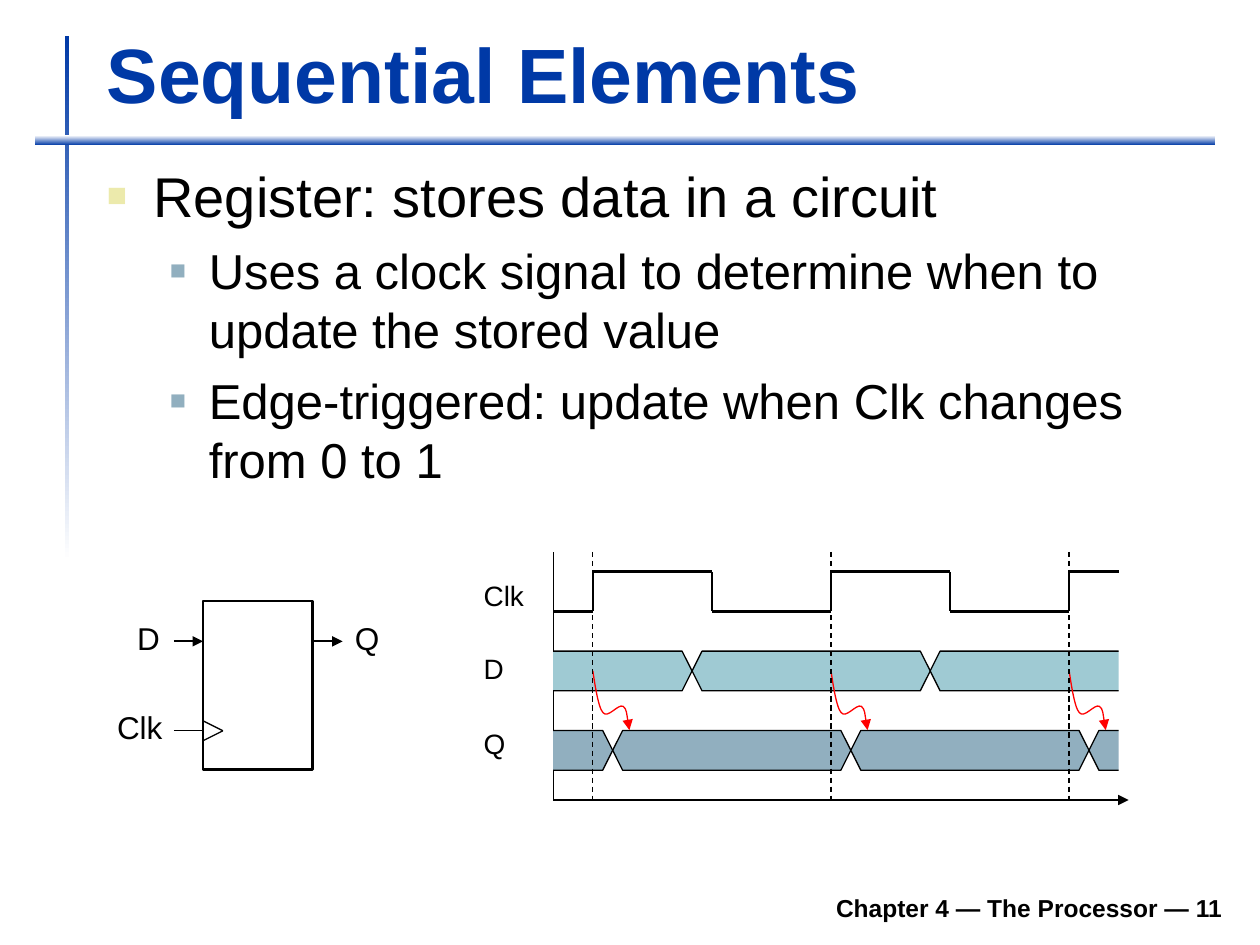
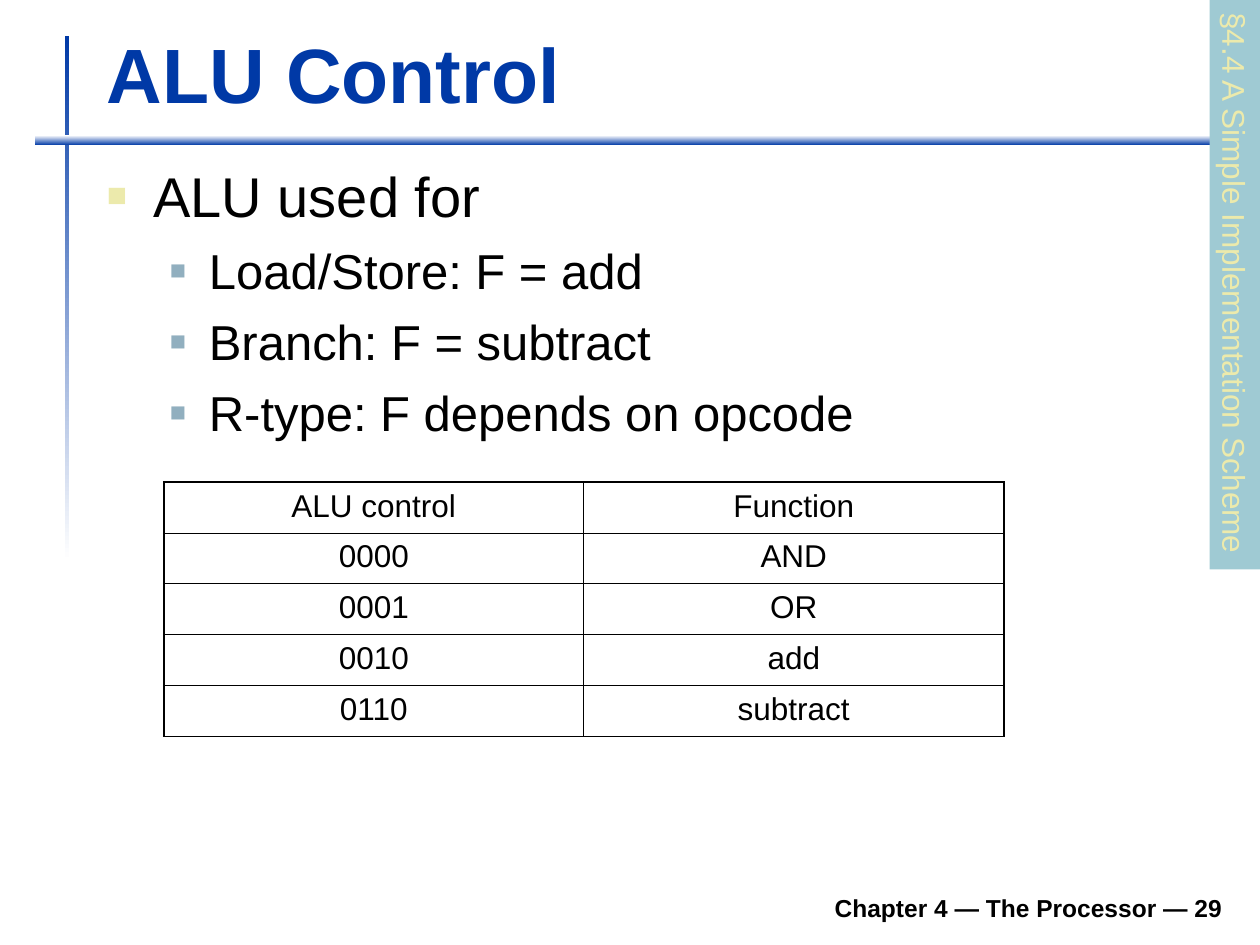
"""Build two processor lecture slides: sequential elements and ALU control."""
import dataclasses
import itertools

import lxml.etree
import pptx
import pptx.dml.color
import pptx.enum.dml
import pptx.enum.shapes
import pptx.enum.text
import pptx.oxml.ns
import pptx.util

Pt = pptx.util.Pt
RGB = pptx.dml.color.RGBColor.from_string
ALIGN = pptx.enum.text.PP_ALIGN
ANCHOR = pptx.enum.text.MSO_ANCHOR
RECTANGLE = pptx.enum.shapes.MSO_SHAPE.RECTANGLE


@dataclasses.dataclass(frozen=True)
class Theme:
    """Hold the colours, font and type sizes of the slides."""
    font: str = "Arial"
    blue: str = "0039A6"
    white: str = "FFFFFF"
    black: str = "000000"
    red: str = "FF0000"
    cream: str = "ECEAAC"
    teal: str = "9FCAD3"
    slate: str = "91AFBF"
    title_size: int = 44
    body_size: int = 32
    sub_size: int = 28
    label_size: int = 18
    signal_size: int = 16
    footer_size: int = 14
    thin: float = 0.75
    thick: float = 1.5


THEME = Theme()
BULLETS = (
    dict(size=THEME.body_size, color=THEME.cream, percent=60, left=26.6, hang=26.6, before=8),
    dict(size=THEME.sub_size, color=THEME.slate, percent=55, left=58.3, hang=22.3, before=7),
)
GRID_LEFT, GRID_TOP, GRID_UNIT = 316.1, 315.4, 5.67
GRID_END, GRID_BASE = 57, 25
PERIOD = 24
RISING_EDGES = (4, 28, 52)
CLOCK_HIGH, CLOCK_LOW = 2, 6
ARROW_CURVE = ((0.7, 4.3), (2.9, 20.9), (5.8, 23.8), (8.6, 27.4), (14.4, 18.7),
               (17.3, 20.2), (19.4, 21.6), (20.2, 31), (20.9, 33.8))


def add_xml(parent, tag, **attributes):
    """Append a drawing element with the given attributes."""
    return lxml.etree.SubElement(parent, pptx.oxml.ns.qn(tag), attributes)


def style_font(paragraph, size, color=THEME.black, bold=False):
    """Set the font of a whole paragraph."""
    paragraph.font.name = THEME.font
    paragraph.font.size = Pt(size)
    paragraph.font.bold = bold
    paragraph.font.color.rgb = RGB(color)


def add_text(slide, text, box, size, color=THEME.black, bold=False,
             align=ALIGN.LEFT, anchor=ANCHOR.TOP, wrap=True):
    """Add a text box with one paragraph."""
    shape = slide.shapes.add_textbox(*map(Pt, box))
    shape.text_frame.word_wrap = wrap
    shape.text_frame.vertical_anchor = anchor
    paragraph = shape.text_frame.paragraphs[0]
    paragraph.text = text
    paragraph.alignment = align
    style_font(paragraph, size, color, bold)


def add_box(slide, box):
    """Add an empty rectangle with neither fill, line nor shadow."""
    shape = slide.shapes.add_shape(RECTANGLE, *map(Pt, box))
    shape.shadow.inherit = False
    shape.fill.background()
    shape.line.fill.background()
    return shape


def add_gradient_bar(slide, box, angle):
    """Add a bar that fades from blue to white."""
    fill = add_box(slide, box).fill
    fill.gradient()
    fill.gradient_angle = angle
    for stop, color in zip(fill.gradient_stops, (THEME.blue, THEME.white)):
        stop.color.rgb = RGB(color)


def style_line(line, color, width, arrow=False):
    """Set colour, width and an optional arrowhead of a line."""
    line.color.rgb = RGB(color)
    line.width = Pt(width)
    if arrow:
        add_xml(line._get_or_add_ln(), "a:tailEnd", type="triangle")


def add_line(slide, start, end, width=THEME.thin, arrow=False, dashed=False):
    """Add a straight black line."""
    connector = slide.shapes.add_connector(
        pptx.enum.shapes.MSO_CONNECTOR.STRAIGHT, *map(Pt, (*start, *end)))
    if dashed:
        connector.line.dash_style = pptx.enum.dml.MSO_LINE.DASH
    style_line(connector.line, THEME.black, width, arrow)
    add_xml(connector._element.spPr, "a:effectLst")


def add_outline(slide, points, close):
    """Add a freeform through the given points."""
    start, *others = [tuple(map(Pt, point)) for point in points]
    builder = slide.shapes.build_freeform(*start)
    builder.add_line_segments(others, close=close)
    shape = builder.convert_to_shape()
    shape.shadow.inherit = False
    return shape


def add_curved_arrow(slide, start):
    """Add a red wavy arrow made of cubic curves."""
    x, y = start
    shape = add_outline(slide, [start] + [(x + dx, y + dy) for dx, dy in ARROW_CURVE], False)
    shape.fill.background()
    style_line(shape.line, THEME.red, THEME.thin, arrow=True)
    segments = list(shape._element.iter(pptx.oxml.ns.qn("a:lnTo")))
    outline = segments[0].getparent()
    for first in range(0, len(segments), 3):
        curve = add_xml(outline, "a:cubicBezTo")
        for segment in segments[first:first + 3]:
            curve.append(segment[0])
            outline.remove(segment)


def grid(column, row):
    """Return the position of a timing grid point."""
    return GRID_LEFT + column * GRID_UNIT, GRID_TOP + row * GRID_UNIT


def add_signal_band(slide, crossings, top, color):
    """Add a data band that changes value at each crossing."""
    middle, bottom = top + 2, top + 4
    for left, right in itertools.pairwise((None, *crossings, None)):
        if left is None:
            points = [(0, top), (right - 1, top), (right, middle),
                      (right - 1, bottom), (0, bottom)]
        elif right is None:
            points = [(GRID_END, top), (left + 1, top), (left, middle),
                      (left + 1, bottom), (GRID_END, bottom)]
        else:
            points = [(left, middle), (left + 1, top), (right - 1, top),
                      (right, middle), (right - 1, bottom), (left + 1, bottom)]
        closed = left is not None and right is not None
        shape = add_outline(slide, [grid(*point) for point in points], closed)
        shape.fill.solid()
        shape.fill.fore_color.rgb = RGB(color)
        style_line(shape.line, THEME.black, THEME.thin)


def add_clock(slide):
    """Add the square wave of the clock signal."""
    corners = [(0, CLOCK_LOW)]
    for edge in RISING_EDGES:
        corners += [(edge, CLOCK_LOW), (edge, CLOCK_HIGH)]
        fall = edge + PERIOD // 2
        if fall < GRID_END:
            corners += [(fall, CLOCK_HIGH), (fall, CLOCK_LOW)]
    corners.append((GRID_END, CLOCK_HIGH))
    for start, end in itertools.pairwise(corners):
        add_line(slide, grid(*start), grid(*end), THEME.thick)


def add_timing_diagram(slide):
    """Add the clock, D and Q waveforms with their axes."""
    add_clock(slide)
    add_line(slide, grid(0, GRID_BASE), grid(GRID_END + 1, GRID_BASE), arrow=True)
    add_line(slide, grid(0, GRID_BASE), grid(0, 0))
    for name, top, width in (("Clk", 326.9, 37.4), ("D", 368.6, 26), ("Q", 411.8, 26.6)):
        add_text(slide, name, (269.3, top, width, 26.6), THEME.signal_size, wrap=False)
    add_signal_band(slide, (14, 14 + PERIOD), 10, THEME.teal)
    add_signal_band(slide, [edge + 2 for edge in RISING_EDGES], 18, THEME.slate)
    for edge in RISING_EDGES:
        add_curved_arrow(slide, grid(edge, 12))
        add_line(slide, grid(edge, 0), grid(edge, GRID_BASE), dashed=True)


def add_register(slide):
    """Add the register symbol with its inputs and output."""
    left, right, data_y, clock_y = 116, 178.6, 366.5, 417.6
    body = add_box(slide, (left, 343.4, right - left, 96.5))
    style_line(body.line, THEME.black, THEME.thick)
    add_line(slide, (99.4, data_y), (left, data_y), 1, arrow=True)
    add_line(slide, (99.4, clock_y), (left, clock_y))
    add_line(slide, (right, data_y), (195.8, data_y), 1, arrow=True)
    for offset in (-5.7, 5.7):
        add_line(slide, (left, clock_y + offset), (127.4, clock_y))
    for name, x, y, width in (("D", 71.3, 350, 27.4), ("Clk", 59.8, 401, 40.3),
                              ("Q", 195.8, 350, 28)):
        add_text(slide, name, (x, y, width, 28.8), THEME.label_size, wrap=False)


def add_bullets(slide, items, height):
    """Add the bulleted body from pairs of level and text."""
    shape = slide.shapes.add_textbox(*map(Pt, (54, 88.6, 650.9, height)))
    frame = shape.text_frame
    frame.word_wrap = True
    for index, (level, text) in enumerate(items):
        paragraph = frame.add_paragraph() if index else frame.paragraphs[0]
        style = BULLETS[level]
        paragraph.text = text
        paragraph.level = level
        paragraph.space_before = Pt(style["before"])
        properties = paragraph._p.get_or_add_pPr()
        properties.set("marL", str(Pt(style["left"])))
        properties.set("indent", str(-Pt(style["hang"])))
        add_xml(add_xml(properties, "a:buClr"), "a:srgbClr", val=style["color"])
        add_xml(properties, "a:buSzPct", val=str(style["percent"] * 1000))
        add_xml(properties, "a:buFont", typeface=THEME.font)
        add_xml(properties, "a:buChar", char="■")
        style_font(paragraph, style["size"])


def add_cell_border(cell, side, width):
    """Draw one black border of a table cell."""
    border = add_xml(cell._tc.get_or_add_tcPr(), f"a:ln{side}", w=str(Pt(width)))
    add_xml(add_xml(border, "a:solidFill"), "a:srgbClr", val=THEME.black)


def add_function_table(slide, rows):
    """Add the ruled two-column table."""
    outer, header, inner = 1.08, 0.75, 0.45
    last_row, last_column = len(rows) - 1, len(rows[0]) - 1
    table = slide.shapes.add_table(
        len(rows), len(rows[0]), *map(Pt, (93.6, 275.6, 480, 29 * len(rows)))).table
    table.first_row = table.horz_banding = False
    for r, row in enumerate(rows):
        for c, text in enumerate(row):
            cell = table.cell(r, c)
            add_cell_border(cell, "L", inner if c else outer)
            add_cell_border(cell, "R", outer if c == last_column else inner)
            add_cell_border(cell, "T", {0: outer, 1: header}.get(r, inner))
            add_cell_border(cell, "B", {0: header, last_row: inner}.get(r, inner))
            cell.fill.background()
            paragraph = cell.text_frame.paragraphs[0]
            paragraph.text = text
            paragraph.alignment = ALIGN.CENTER
            paragraph.space_before = Pt(4.5)
            style_font(paragraph, THEME.label_size)


def add_section_tab(slide, text):
    """Add the section name on a tab turned along the right edge."""
    tab = add_box(slide, (542.9, 148.3, 325.4, 28.8))
    tab.rotation = 90
    tab.fill.solid()
    tab.fill.fore_color.rgb = RGB(THEME.teal)
    tab.text_frame.word_wrap = False
    tab.text_frame.vertical_anchor = ANCHOR.TOP
    paragraph = tab.text_frame.paragraphs[0]
    paragraph.text = text
    paragraph.alignment = ALIGN.LEFT
    style_font(paragraph, THEME.label_size, THEME.cream)


def add_slide(presentation, title, number):
    """Add a blank slide with the shared bars, footer and title."""
    slide = presentation.slides.add_slide(presentation.slide_layouts[6])
    add_gradient_bar(slide, (36.9, 20.4, 2.7, 300), 270)
    add_gradient_bar(slide, (19.8, 77.4, 674.6, 5.6), 90)
    add_text(slide, f"Chapter 4 — The Processor — {number}", (133.2, 502.6, 572.4, 28),
             THEME.footer_size, bold=True, align=ALIGN.RIGHT, anchor=ANCHOR.BOTTOM)
    add_text(slide, title, (54, 11.5, 650.2, 59.8), THEME.title_size, THEME.blue,
             bold=True, anchor=ANCHOR.BOTTOM)
    return slide


def main():
    """Build and save the presentation."""
    presentation = pptx.Presentation()
    presentation.slide_width, presentation.slide_height = Pt(720), Pt(540)

    slide = add_slide(presentation, "Sequential Elements", 11)
    add_bullets(slide, [
        (0, "Register: stores data in a circuit"),
        (1, "Uses a clock signal to determine when to update the stored value"),
        (1, "Edge-triggered: update when Clk changes from 0 to 1")], 217.4)
    add_register(slide)
    add_timing_diagram(slide)

    slide = add_slide(presentation, "ALU Control", 29)
    add_bullets(slide, [(0, "ALU used for"), (1, "Load/Store: F = add"),
                        (1, "Branch: F = subtract"), (1, "R-type: F depends on opcode")], 187.2)
    add_section_tab(slide, "§4.4 A Simple Implementation Scheme")
    add_function_table(slide, [("ALU control", "Function"), ("0000", "AND"), ("0001", "OR"),
                               ("0010", "add"), ("0110", "subtract")])
    presentation.save("out.pptx")


if __name__ == "__main__":
    main()
